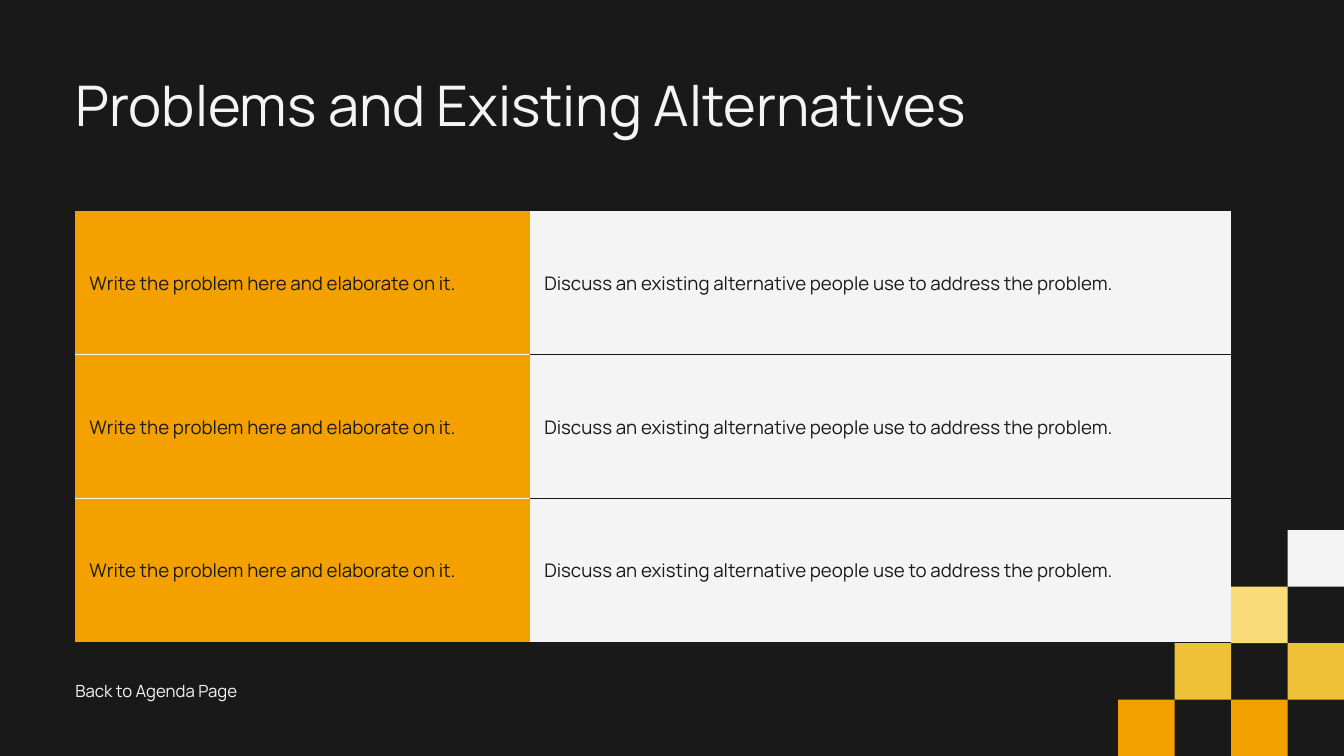
from dataclasses import dataclass

from lxml.etree import SubElement
from pptx import Presentation
from pptx.dml.color import RGBColor
from pptx.enum.shapes import MSO_SHAPE
from pptx.enum.text import MSO_ANCHOR
from pptx.oxml.ns import qn
from pptx.util import Inches, Pt


@dataclass(frozen=True)
class Theme:
    font: str = "Manrope"
    dark: str = "191919"
    light: str = "F4F4F4"
    orange: str = "F4A100"
    gold: str = "EFC136"
    pale: str = "FADB7A"
    title_size: float = 60
    body_size: float = 20
    link_size: float = 18
    rule_width: float = 1.5


THEME = Theme()
SLIDE_WIDTH, SLIDE_HEIGHT = 20, 11.25
MARGIN = 1.12

TITLE = "Problems and Existing Alternatives"
BACK_LABEL = "Back to Agenda Page"
ROWS = [
    ("Write the problem here and elaborate on it.",
     "Discuss an existing alternative people use to address the problem."),
] * 3

# width, fill, colour of the rules between rows
COLUMNS = [(6.77, THEME.orange, THEME.light), (10.43, THEME.light, THEME.dark)]
TABLE_TOP, ROW_HEIGHT, CELL_MARGIN = 3.14, 2.14, 0.21

# squares counted from the bottom right corner: columns left, rows up, fill
SQUARE = 0.84
SQUARES = [
    (1, 4, THEME.light),
    (2, 3, THEME.pale),
    (3, 2, THEME.gold),
    (1, 2, THEME.gold),
    (4, 1, THEME.orange),
    (2, 1, THEME.orange),
]


def paint(fill, color):
    fill.solid()
    fill.fore_color.rgb = RGBColor.from_string(color)


def write(text_frame, text, size, color, line_spacing):
    paragraph = text_frame.paragraphs[0]
    paragraph.text = text
    paragraph.line_spacing = Pt(line_spacing)
    paragraph.font.name = THEME.font
    paragraph.font.size = Pt(size)
    paragraph.font.color.rgb = RGBColor.from_string(color)


def add_text(slide, text, top, width, height, size, line_spacing):
    box = slide.shapes.add_textbox(
        Inches(MARGIN), Inches(top), Inches(width), Inches(height))
    frame = box.text_frame
    frame.word_wrap = True
    frame.margin_left = frame.margin_right = 0
    frame.margin_top = frame.margin_bottom = 0
    write(frame, text, size, THEME.light, line_spacing)


def add_squares(slide):
    for columns, rows, color in SQUARES:
        shape = slide.shapes.add_shape(
            MSO_SHAPE.RECTANGLE,
            Inches(SLIDE_WIDTH - columns * SQUARE),
            Inches(SLIDE_HEIGHT - rows * SQUARE),
            Inches(SQUARE), Inches(SQUARE))
        shape.shadow.inherit = False
        paint(shape.fill, color)
        shape.line.fill.background()


def set_borders(cell, top, bottom):
    """Draw the top and bottom borders that have a colour; hide the others.

    Must run before the cell is filled, as borders precede the fill in the XML.
    """
    properties = cell._tc.get_or_add_tcPr()
    for tag, color in (("lnL", None), ("lnR", None), ("lnT", top), ("lnB", bottom)):
        width = Pt(THEME.rule_width) if color else 0
        line = SubElement(properties, qn(f"a:{tag}"), w=str(width))
        if color:
            solid = SubElement(line, qn("a:solidFill"))
            SubElement(solid, qn("a:srgbClr"), val=color)
        else:
            SubElement(line, qn("a:noFill"))


def add_problem_table(slide):
    table = slide.shapes.add_table(
        len(ROWS), len(COLUMNS), Inches(MARGIN), Inches(TABLE_TOP),
        Inches(sum(width for width, _, _ in COLUMNS)),
        Inches(ROW_HEIGHT * len(ROWS))).table
    table.first_row = table.horz_banding = False
    for column, (width, _, _) in zip(table.columns, COLUMNS):
        column.width = Inches(width)
    for row_index, texts in enumerate(ROWS):
        table.rows[row_index].height = Inches(ROW_HEIGHT)
        for column_index, (_, fill, rule) in enumerate(COLUMNS):
            cell = table.cell(row_index, column_index)
            set_borders(cell,
                        top=rule if row_index > 0 else None,
                        bottom=rule if row_index < len(ROWS) - 1 else None)
            paint(cell.fill, fill)
            cell.vertical_anchor = MSO_ANCHOR.MIDDLE
            cell.margin_left = cell.margin_right = Inches(CELL_MARGIN)
            cell.margin_top = cell.margin_bottom = Inches(CELL_MARGIN)
            write(cell.text_frame, texts[column_index],
                  THEME.body_size, THEME.dark, 28)


def main():
    presentation = Presentation()
    presentation.slide_width = Inches(SLIDE_WIDTH)
    presentation.slide_height = Inches(SLIDE_HEIGHT)
    slide = presentation.slides.add_slide(presentation.slide_layouts[6])
    paint(slide.background.fill, THEME.dark)
    add_squares(slide)
    add_problem_table(slide)
    add_text(slide, TITLE, 1.05, 17.75, 1.07, THEME.title_size, 72)
    add_text(slide, BACK_LABEL, 10.08, 6.92, 0.36, THEME.link_size, 25.2)
    presentation.save("out.pptx")


if __name__ == "__main__":
    main()
